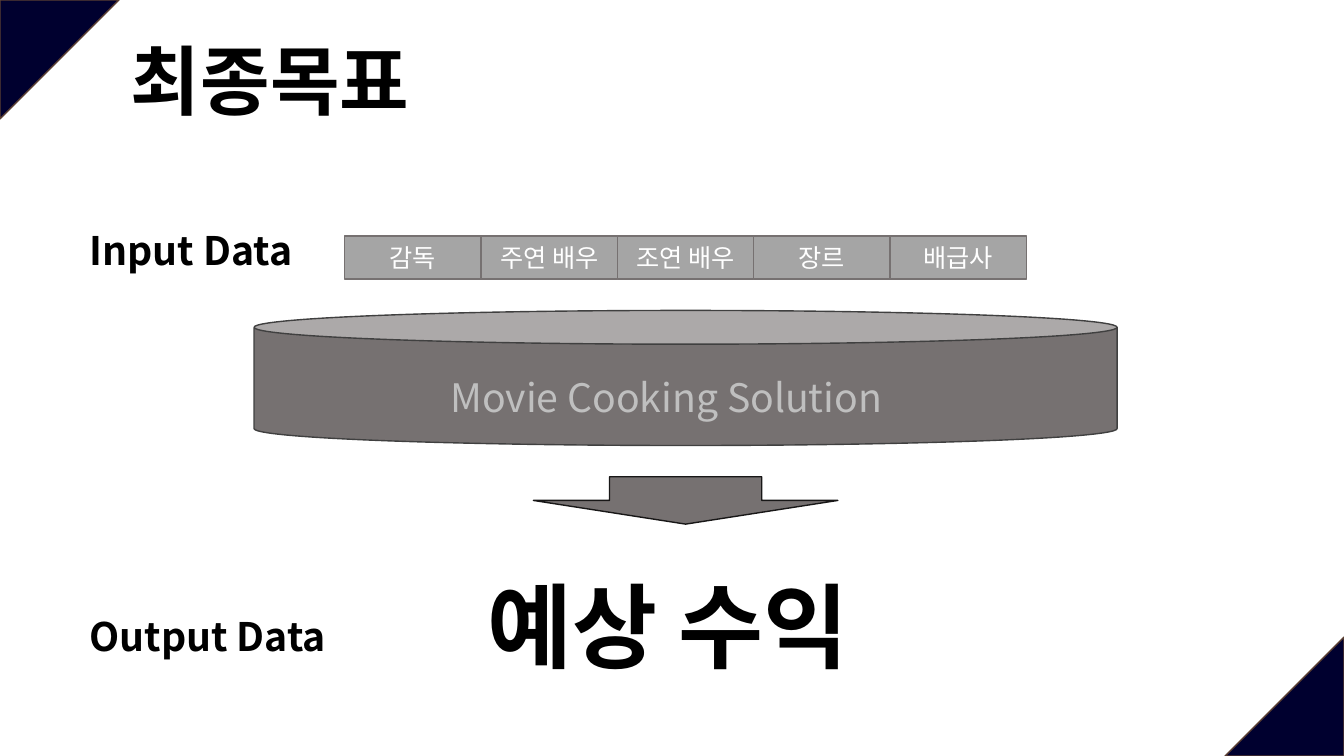
from dataclasses import dataclass

from lxml import etree
from pptx import Presentation
from pptx import util as u
from pptx.dml.color import RGBColor
from pptx.enum import shapes, text
from pptx.oxml import ns

KIND = shapes.MSO_SHAPE


@dataclass(frozen=True)
class Theme:
    navy: str = "00002F"
    brown: str = "5B3F33"
    black: str = "000000"
    white: str = "FFFFFF"
    pale: str = "BFBFBF"
    light: str = "A5A5A5"
    gray: str = "767171"
    dark: str = "404040"
    ink: str = "181717"
    hero: int = 66
    title: int = 54
    label: int = 28
    cell: int = 18
    sans: str = "Noto Sans CJK KR"
    latin: str = "Calibri"


THEME = Theme()


def write(frame, words, size, color=THEME.black, font=THEME.sans,
          bold=False, align=text.PP_ALIGN.LEFT):
    para = frame.paragraphs[0]
    para.alignment = align
    run = para.add_run()
    run.text = words
    run.font.size = u.Pt(size)
    run.font.bold = bold
    run.font.name = font
    run.font.color.rgb = RGBColor.from_string(color)
    # Hangul takes its face from the East Asian font slot.
    east = etree.SubElement(run.font._element, ns.qn("a:ea"))
    east.set("typeface", THEME.sans)


def add_text(slide, box, words, size, **style):
    label = slide.shapes.add_textbox(*map(u.Inches, box))
    frame = label.text_frame
    frame.word_wrap = True
    frame.auto_size = text.MSO_AUTO_SIZE.SHAPE_TO_FIT_TEXT
    write(frame, words, size, **style)


def add_shape(slide, kind, box, fill, line):
    shape = slide.shapes.add_shape(kind, *map(u.Inches, box))
    shape.shadow.inherit = False
    shape.fill.solid()
    shape.fill.fore_color.rgb = RGBColor.from_string(fill)
    shape.line.color.rgb = RGBColor.from_string(line)
    shape.line.width = u.Pt(1)
    return shape


def add_corners(slide, width, height, side=1.18):
    """Place right triangles in the top left and bottom right corners."""
    for left, top, turn in ((0, 0, 90), (width - side, height - side, 270)):
        corner = add_shape(slide, KIND.ISOSCELES_TRIANGLE,
                           (left, top, side, side), THEME.navy, THEME.brown)
        corner.adjustments[0] = 0
        corner.rotation = turn


def add_inputs(slide, box, names):
    """Split the box into one equal cell per name."""
    left, top, width, height = box
    step = width / len(names)
    for index, name in enumerate(names):
        cell = add_shape(slide, KIND.RECTANGLE,
                         (left + index * step, top, step, height),
                         THEME.light, THEME.gray)
        frame = cell.text_frame
        frame.word_wrap = True
        frame.vertical_anchor = text.MSO_ANCHOR.MIDDLE
        write(frame, name, THEME.cell, color=THEME.white, font=THEME.latin,
              align=text.PP_ALIGN.CENTER)


def add_engine(slide, box):
    """Draw the can with its name, and the arrow centred below it."""
    left, top, width, height = box
    add_shape(slide, KIND.CAN, box, THEME.gray, THEME.dark)
    add_text(slide, (left + 1.85, top + 0.57, 4.86, 0.57),
             "Movie Cooking Solution", THEME.label, color=THEME.pale)
    span = 3.02
    add_shape(slide, KIND.DOWN_ARROW,
              (left + (width - span) / 2, top + height + 0.31, span, 0.47),
              THEME.gray, THEME.ink)


def main():
    width, height = 13.33, 7.5
    deck = Presentation()
    deck.slide_width = u.Inches(width)
    deck.slide_height = u.Inches(height)
    slide = deck.slides.add_slide(deck.slide_layouts[6])

    add_corners(slide, width, height)
    add_text(slide, (1.2, 0.29, 3.23, 1.01), "최종목표", THEME.title, bold=True)
    add_text(slide, (0.79, 2.2, 2.31, 0.57), "Input Data", THEME.label,
             bold=True)
    add_inputs(slide, (3.42, 2.34, 6.76, 0.43),
               ("감독", "주연 배우", "조연 배우", "장르", "배급사"))
    add_engine(slide, (2.52, 3.08, 8.56, 1.34))
    add_text(slide, (0.79, 6.03, 2.63, 0.57), "Output Data", THEME.label,
             bold=True)
    add_text(slide, (4.74, 5.6, 4.37, 1.21), "예상 수익", THEME.hero,
             font=THEME.latin, bold=True)
    deck.save("out.pptx")


if __name__ == "__main__":
    main()
